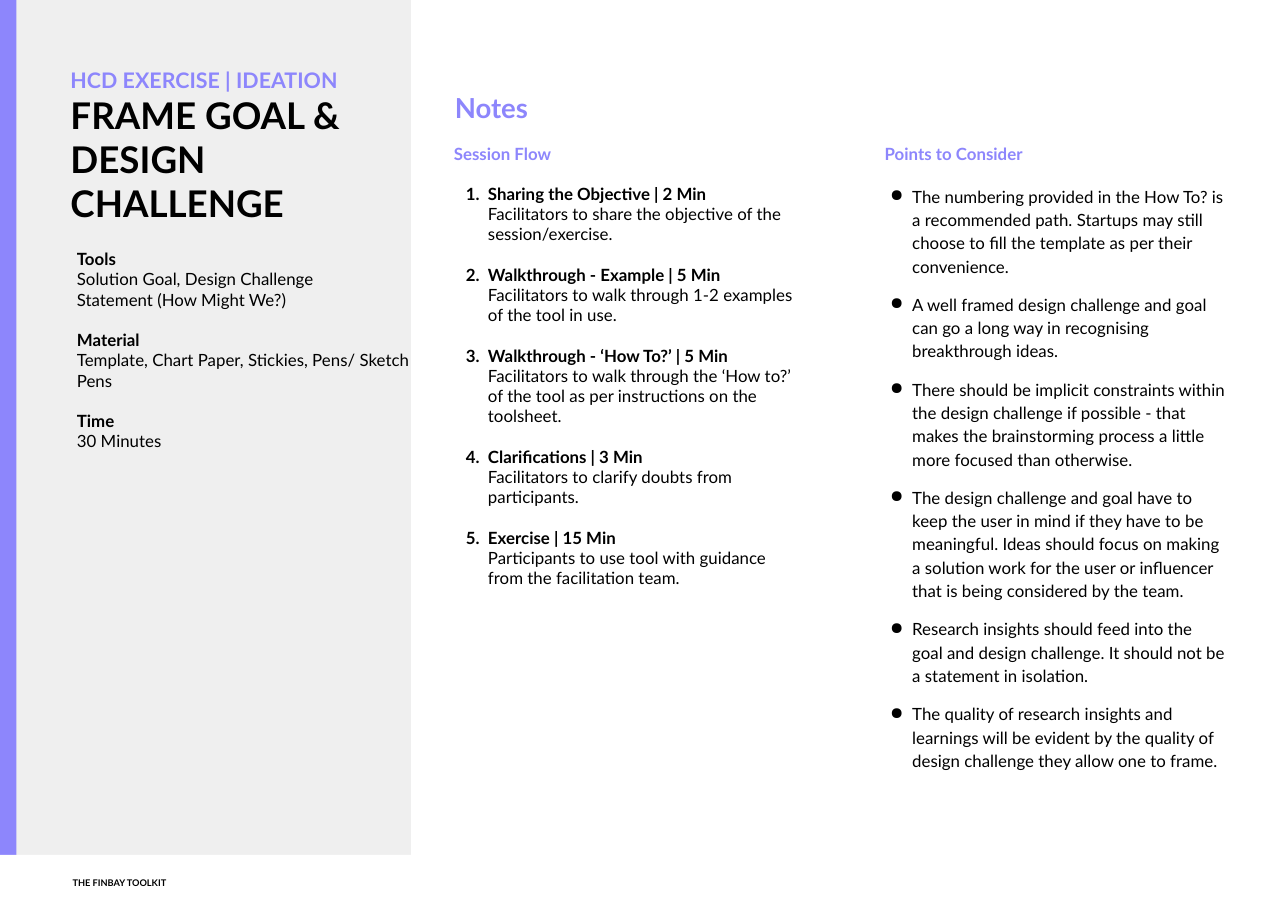
import pptx
import pptx.dml.color
import pptx.enum.shapes
import pptx.enum.text
import pptx.oxml
import pptx.oxml.ns
import pptx.util

VIOLET, BLACK, GREY, WHITE = "8D86FC", "000000", "EFEFEF", "FFFFFF"
ANCHOR = pptx.enum.text.MSO_ANCHOR
GAP = 13.2  # height of one 11 pt line
NUMBER = '<a:buAutoNum %s type="arabicPeriod"/>'
DOT = '<a:buChar %s char="●"/>'


def color(text):
    return pptx.dml.color.RGBColor.from_string(text)


class Page:
    """One slide; places are percentages of its width and height."""

    def __init__(self, wide, high, font):
        self.deck = pptx.Presentation()
        self.deck.slide_width = pptx.util.Inches(wide)
        self.deck.slide_height = pptx.util.Inches(high)
        self.slide = self.deck.slides.add_slide(self.deck.slide_layouts[5])
        self.font = font

    def place(self, left, top, width, height):
        wide, high = self.deck.slide_width, self.deck.slide_height
        return [int(share * size / 100) for share, size in
                zip((left, top, width, height), (wide, high, wide, high))]

    def block(self, place, fill):
        kind = pptx.enum.shapes.MSO_SHAPE.RECTANGLE
        shape = self.slide.shapes.add_shape(kind, *self.place(*place))
        shape.shadow.inherit = False
        shape.fill.solid()
        shape.fill.fore_color.rgb = color(fill)
        shape.line.fill.background()

    def frame(self, box, inset, anchor):
        frame = box.text_frame
        frame.word_wrap = True
        frame.auto_size = pptx.enum.text.MSO_AUTO_SIZE.NONE
        frame.vertical_anchor = anchor
        frame.margin_left = frame.margin_right = pptx.util.Inches(inset)
        frame.margin_top = frame.margin_bottom = pptx.util.Inches(inset)
        return frame

    def text(self, place, inset=0.1, anchor=ANCHOR.TOP):
        box = self.slide.shapes.add_textbox(*self.place(*place))
        return self.frame(box, inset, anchor)

    def title(self, place, inset):
        box = self.slide.shapes.title
        box.left, box.top, box.width, box.height = self.place(*place)
        self.slide.shapes._spTree.append(box._element)  # above the panel
        return self.frame(box, inset, ANCHOR.BOTTOM)

    def para(self, frame, *lines, size=11, fill=BLACK, bold=True,
             gap=0, lead=1.0, mark=None, indent=0):
        """Add a paragraph; the first line may be bold, the rest are plain."""
        first = frame.paragraphs[0]
        para = frame.add_paragraph() if first.runs else first
        para.alignment = pptx.enum.text.PP_ALIGN.LEFT
        para.line_spacing = lead
        para.space_before = pptx.util.Pt(gap)
        if mark:
            props = para._p.get_or_add_pPr()
            props.set("marL", str(pptx.util.Inches(indent)))
            props.set("indent", str(pptx.util.Inches(-0.2)))
            space = pptx.oxml.ns.nsdecls("a")
            props.append(pptx.oxml.parse_xml(mark % space))
        for place, line in enumerate(lines):
            if place:
                para.add_line_break()
            run = para.add_run()
            run.text = line
            run.font.name = self.font
            run.font.size = pptx.util.Pt(size)
            run.font.bold = bold and place == 0
            run.font.color.rgb = color(fill)


FACTS = [
    ("Tools", "Solution Goal, Design Challenge", "Statement (How Might We?)"),
    ("Material", "Template, Chart Paper, Stickies, Pens/ Sketch Pens"),
    ("Time", "30 Minutes"),
]
STEPS = [
    ("Sharing the Objective | 2 Min",
     "Facilitators to share the objective of the session/exercise."),
    ("Walkthrough - Example | 5 Min",
     "Facilitators to walk through 1-2 examples of the tool in use."),
    ("Walkthrough - ‘How To?’ | 5 Min",
     "Facilitators to walk through the ‘How to?’ of the tool as per "
     "instructions on the toolsheet."),
    ("Clarifications | 3 Min",
     "Facilitators to clarify doubts from participants."),
    ("Exercise | 15 Min",
     "Participants to use tool with guidance from the facilitation team."),
]
POINTS = [
    "The numbering provided in the How To? is a recommended path. Startups "
    "may still choose to fill the template as per their convenience.",
    "A well framed design challenge and goal can go a long way in "
    "recognising breakthrough ideas.",
    "There should be implicit constraints within the design challenge if "
    "possible - that makes the brainstorming process a little more focused "
    "than otherwise.",
    "The design challenge and goal have to keep the user in mind if they "
    "have to be meaningful. Ideas should focus on making a solution work for "
    "the user or influencer that is being considered by the team.",
    "Research insights should feed into the goal and design challenge. It "
    "should not be a statement in isolation.",
    "The quality of research insights and learnings will be evident by the "
    "quality of design challenge they allow one to frame.",
]


def main():
    page = Page(11.69, 8.27, "Lato")

    # Side panel, accent bar and footer strip
    page.block((0, 0, 31.91, 100), GREY)
    page.block((0, 0, 1.28, 100), VIOLET)
    page.block((0, 93.83, 100, 6.17), WHITE)

    # Title
    title = page.title((4.36, 6.17, 26.69, 20.07), 0.13)
    page.para(title, "HCD EXERCISE | IDEATION", size=14, fill=VIOLET)
    page.para(title, "FRAME GOAL & DESIGN CHALLENGE", size=24)

    # Tools, material and time
    facts = page.text((5.13, 26.12, 28.06, 25.88))
    for place, lines in enumerate(FACTS):
        page.para(facts, *lines, gap=GAP if place else 0)

    # Notes heading
    notes = page.text((34.47, 7.62, 28.06, 8.34), anchor=ANCHOR.MIDDLE)
    page.para(notes, "Notes", size=18, fill=VIOLET)

    # Session flow
    flow = page.text((34.13, 14.15, 28.74, 57.19), 0.13)
    page.para(flow, "Session Flow", fill=VIOLET)
    for lines in STEPS:
        page.para(flow, *lines, gap=GAP, mark=NUMBER, indent=0.31)

    # Points to consider
    points = page.text((67.58, 14.15, 28.74, 77.03), 0.13)
    page.para(points, "Points to Consider", fill=VIOLET)
    for place, line in enumerate(POINTS):
        page.para(points, line, bold=False, gap=10 if place else GAP,
                  lead=1.15, mark=DOT, indent=0.25)

    # Footer
    foot = page.text((4.79, 95.16, 39.44, 3.51), anchor=ANCHOR.BOTTOM)
    page.para(foot, "THE FINBAY TOOLKIT", size=6)

    page.deck.save("out.pptx")


if __name__ == "__main__":
    main()
